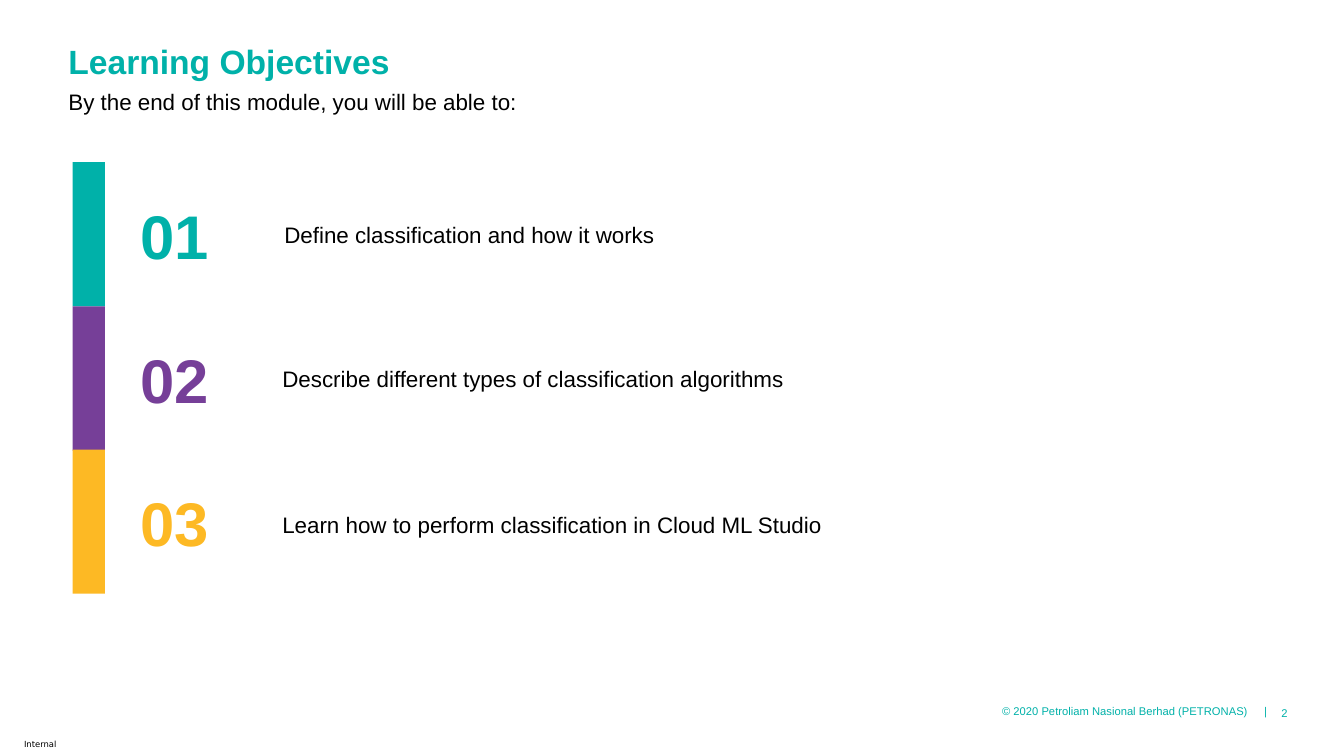
from dataclasses import dataclass

from lxml.etree import SubElement
from pptx import Presentation
from pptx.dml.color import RGBColor
from pptx.enum.shapes import MSO_SHAPE
from pptx.enum.text import MSO_ANCHOR as Anchor, PP_ALIGN as Align
from pptx.oxml.ns import qn
from pptx.slide import Slide
from pptx.text.text import _Paragraph as Paragraph
from pptx.util import Inches, Pt

TEAL = RGBColor(0x00, 0xB1, 0xA9)
PURPLE = RGBColor(0x76, 0x3F, 0x98)
YELLOW = RGBColor(0xFD, 0xB9, 0x24)
BLACK = RGBColor(0, 0, 0)

BAR_LEFT, BAR_WIDTH, BAR_HEIGHT = 0.72, 0.32, 1.43
NUMBER_OFFSET = 0.35
NO_INSETS = (0, 0, 0, 0)


@dataclass
class Label:
    """Text with its box (left, top, width, height) and insets in inches."""
    text: str
    box: tuple[float, float, float, float]
    size: float
    color: RGBColor = BLACK
    bold: bool = False
    font: str = "Arial"
    align: Align = Align.LEFT
    anchor: Anchor = Anchor.TOP
    insets: tuple[float, float, float, float] = (0.1, 0.05, 0.1, 0.05)
    wrap: bool = True
    line_spacing: float | None = None
    tab_stop: float | None = None


@dataclass
class Objective:
    text: str
    color: RGBColor
    bar_top: float
    text_left: float
    text_top: float


LABELS = [
    Label("© 2020 Petroliam Nasional Berhad (PETRONAS)\t|", (9.84, 6.94, 2.73, 0.24), 8,
          TEAL, insets=(0.1, 0.05, 0, 0.05), tab_stop=2.6),
    Label("Internal", (0.14, 7.28, 13.06, 0.2), 6, font="DejaVu Sans"),
    Label("Learning Objectives", (0.58, 0.4, 12.19, 0.46), 24, TEAL, bold=True,
          line_spacing=0.9),
    Label("By the end of this module, you will be able to:", (0.58, 0.83, 4.71, 0.37), 16,
          wrap=False),
    Label("2", (12.57, 6.87, 0.2, 0.4), 8, TEAL, align=Align.RIGHT, anchor=Anchor.MIDDLE,
          insets=(0.05, 0.05, 0, 0.05)),
]

OBJECTIVES = [
    Objective("Define classification and how it works", TEAL, 1.61, 2.82, 2.19),
    Objective("Describe different types of classification algorithms", PURPLE,
              3.04, 2.8, 3.62),
    Objective("Learn how to perform classification in Cloud ML Studio", YELLOW,
              4.46, 2.8, 5.07),
]


def add_tab_stop(paragraph: Paragraph, position: float) -> None:
    tab_list = SubElement(paragraph._p.get_or_add_pPr(), qn("a:tabLst"))
    SubElement(tab_list, qn("a:tab"), pos=str(Inches(position)), algn="l")


def add_label(slide: Slide, label: Label) -> None:
    shape = slide.shapes.add_textbox(*map(Inches, label.box))
    frame = shape.text_frame
    frame.word_wrap = label.wrap
    frame.vertical_anchor = label.anchor
    (frame.margin_left, frame.margin_top,
     frame.margin_right, frame.margin_bottom) = map(Inches, label.insets)
    paragraph = frame.paragraphs[0]
    paragraph.text = label.text
    paragraph.alignment = label.align
    if label.line_spacing:
        paragraph.line_spacing = label.line_spacing
    if label.tab_stop:
        add_tab_stop(paragraph, label.tab_stop)
    font = paragraph.font
    font.name = label.font
    font.size = Pt(label.size)
    font.bold = label.bold
    font.color.rgb = label.color


def add_objective(slide: Slide, number: int, objective: Objective) -> None:
    """Draw the coloured bar, the number and the text of one objective."""
    bar = slide.shapes.add_shape(
        MSO_SHAPE.RECTANGLE, Inches(BAR_LEFT), Inches(objective.bar_top),
        Inches(BAR_WIDTH), Inches(BAR_HEIGHT))
    bar.shadow.inherit = False
    bar.fill.solid()
    bar.fill.fore_color.rgb = objective.color
    bar.line.fill.background()
    add_label(slide, Label(
        f"{number:02}", (1.27, objective.bar_top + NUMBER_OFFSET, 0.92, 0.74), 44,
        objective.color, bold=True, align=Align.CENTER, insets=NO_INSETS))
    add_label(slide, Label(
        objective.text, (objective.text_left, objective.text_top, 7.18, 0.27), 16,
        insets=NO_INSETS))


def main() -> None:
    presentation = Presentation()
    presentation.slide_width = Inches(13.33)
    presentation.slide_height = Inches(7.5)
    slide = presentation.slides.add_slide(presentation.slide_layouts[6])
    for label in LABELS:
        add_label(slide, label)
    for number, objective in enumerate(OBJECTIVES, start=1):
        add_objective(slide, number, objective)
    presentation.save("out.pptx")


if __name__ == "__main__":
    main()
